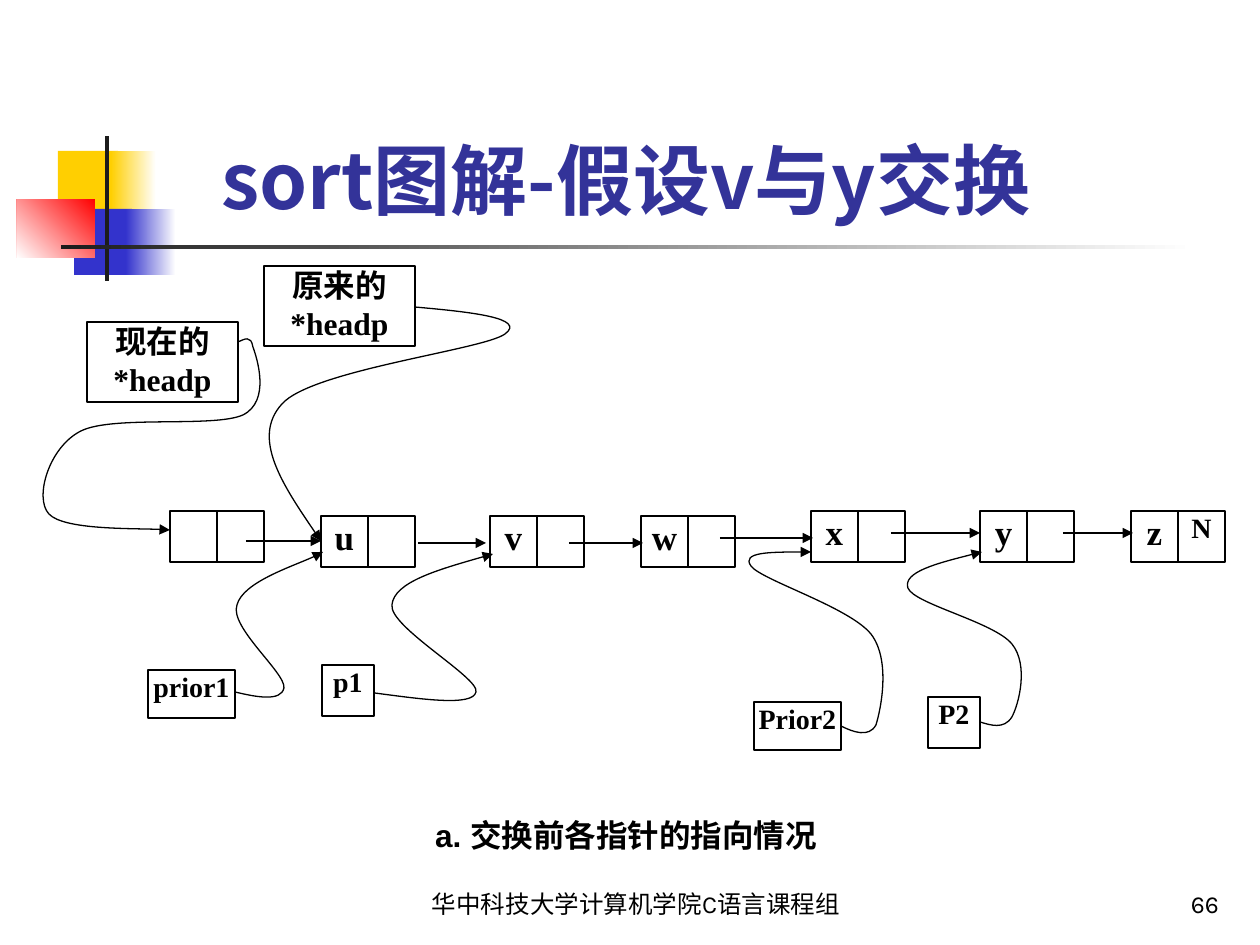
"""Build a slide showing a linked list and its pointers before two nodes are swapped."""
import dataclasses
import itertools
import typing

import lxml.etree
import pptx
import pptx.dml.color
import pptx.enum.shapes
import pptx.enum.text
import pptx.oxml.ns
import pptx.util

SCALE = 914400 / 126
COLOURS = {
    "white": "FFFFFF", "black": "000000", "title": "333399", "yellow": "FFCF01",
    "blue": "3333CC", "red": "FF0000", "dark": "1C1C1C",
}
CJK = "Noto Sans CJK SC"
SERIF = "Times New Roman"
CELL_WIDTH, CELL_HEIGHT = 47, 51
ALIGN = pptx.enum.text.PP_ALIGN
ANCHOR = pptx.enum.text.MSO_ANCHOR
RECTANGLE = pptx.enum.shapes.MSO_SHAPE.RECTANGLE
STRAIGHT = pptx.enum.shapes.MSO_CONNECTOR.STRAIGHT
qn = pptx.oxml.ns.qn


class Frame(typing.NamedTuple):
    left: int
    top: int
    width: int
    height: int


class Ornament(typing.NamedTuple):
    frame: Frame
    colour: str
    fade_angle: int | None = None


class Node(typing.NamedTuple):
    left: int
    top: int
    name: str = ""
    link: str = ""


class Label(typing.NamedTuple):
    frame: Frame
    text: str
    size: int


class Arrow(typing.NamedTuple):
    start: int
    end: int
    y: int


@dataclasses.dataclass(frozen=True)
class Style:
    size: int
    font: str = SERIF
    bold: bool = True
    colour: str = "black"
    align: typing.Any = ALIGN.CENTER
    anchor: typing.Any = ANCHOR.TOP
    insets: tuple[int, int] = (0, 0)


ORNAMENTS = [
    Ornament(Frame(58, 151, 60, 66), "yellow"),
    Ornament(Frame(111, 151, 45, 66), "yellow", 0),
    Ornament(Frame(74, 209, 58, 66), "blue"),
    Ornament(Frame(126, 209, 50, 66), "blue", 0),
    Ornament(Frame(17, 199, 78, 59), "red", 225),
    Ornament(Frame(105, 136, 4, 145), "dark"),
    Ornament(Frame(61, 245, 1134, 4), "dark", 0),
]
NODES = [
    Node(170, 511), Node(321, 516, "u"), Node(490, 516, "v"), Node(641, 516, "w"),
    Node(811, 511, "x"), Node(980, 511, "y"), Node(1131, 511, "z", "N"),
]
LABELS = [
    Label(Frame(264, 266, 151, 80), "原来的*headp", 18),
    Label(Frame(87, 322, 151, 80), "现在的*headp", 18),
    Label(Frame(148, 670, 87, 48), "prior1", 16),
    Label(Frame(322, 665, 52, 51), "p1", 16),
    Label(Frame(754, 702, 87, 48), "Prior2", 16),
    Label(Frame(928, 697, 52, 51), "P2", 16),
]
ARROWS = [
    Arrow(246, 321, 541), Arrow(418, 486, 543), Arrow(569, 643, 543),
    Arrow(720, 813, 538), Arrow(891, 980, 533), Arrow(1063, 1133, 533),
]
CURVES = [
    [(415, 307), (471, 312), (527, 318), (505, 334), (483, 350), (312, 370),
     (282, 404), (251, 438), (286, 490), (321, 541)],
    [(238, 342), (245, 339), (251, 335), (253, 347), (257, 358), (271, 401),
     (243, 415), (214, 428), (113, 415), (81, 431), (49, 447), (34, 498),
     (49, 514), (64, 530), (150, 528), (170, 530)],
    [(235, 692), (256, 697), (281, 702), (284, 688), (286, 673), (229, 627),
     (237, 605), (243, 582), (309, 561), (323, 552)],
    [(374, 693), (420, 699), (473, 707), (476, 692), (480, 678), (389, 627),
     (392, 605), (394, 582), (444, 568), (493, 554)],
    [(841, 726), (853, 732), (869, 738), (876, 725), (881, 709), (891, 660),
     (871, 634), (849, 607), (761, 580), (751, 566), (741, 552), (776, 552),
     (811, 552)],
    [(980, 722), (990, 725), (1004, 730), (1012, 717), (1019, 704), (1029, 665),
     (1012, 644), (994, 622), (914, 604), (908, 588), (903, 572), (942, 562),
     (982, 552)],
]


def px(length: int) -> int:
    return round(length * SCALE)


def rgb(name: str) -> pptx.dml.color.RGBColor:
    return pptx.dml.color.RGBColor.from_string(COLOURS[name])


def write(shape, text: str, style: Style) -> None:
    box = shape.text_frame
    box.word_wrap = True
    box.vertical_anchor = style.anchor
    box.margin_left = box.margin_right = px(style.insets[0])
    box.margin_top = box.margin_bottom = px(style.insets[1])
    para = box.paragraphs[0]
    para.text = text
    para.alignment = style.align
    font = para.font
    font.size = pptx.util.Pt(style.size)
    font.bold = style.bold
    font.color.rgb = rgb(style.colour)
    font.name = style.font
    lxml.etree.SubElement(font._element, qn("a:ea"), typeface=CJK)


def draw_ornament(page, ornament: Ornament) -> None:
    shape = page.shapes.add_shape(RECTANGLE, *map(px, ornament.frame))
    shape.shadow.inherit = False
    shape.line.fill.background()
    if ornament.fade_angle is None:
        shape.fill.solid()
        shape.fill.fore_color.rgb = rgb(ornament.colour)
        return
    shape.fill.gradient()
    shape.fill.gradient_angle = ornament.fade_angle
    for stop, colour in zip(shape.fill.gradient_stops, (ornament.colour, "white")):
        stop.color.rgb = rgb(colour)


def outline(shape, arrowhead: bool = False) -> None:
    shape.line.color.rgb = rgb("black")
    shape.line.width = pptx.util.Pt(0.75)
    if arrowhead:
        lxml.etree.SubElement(shape.line._get_or_add_ln(), qn("a:tailEnd"), type="triangle")


def draw_box(page, label: Label) -> None:
    shape = page.shapes.add_shape(RECTANGLE, *map(px, label.frame))
    shape.shadow.inherit = False
    shape.fill.solid()
    shape.fill.fore_color.rgb = rgb("white")
    outline(shape)
    if label.text:
        write(shape, label.text, Style(label.size))


def draw_node(page, node: Node) -> None:
    for column, (text, size) in enumerate([(node.name, 20), (node.link, 16)]):
        left = node.left + column * CELL_WIDTH
        draw_box(page, Label(Frame(left, node.top, CELL_WIDTH, CELL_HEIGHT), text, size))


def draw_arrow(page, arrow: Arrow) -> None:
    ends = (arrow.start, arrow.y, arrow.end, arrow.y)
    connector = page.shapes.add_connector(STRAIGHT, *map(px, ends))
    outline(connector, arrowhead=True)
    lxml.etree.SubElement(connector._element.spPr, qn("a:effectLst"))


def draw_curve(page, points: list[tuple[int, int]]) -> None:
    builder = page.shapes.build_freeform(*points[0], scale=SCALE)
    builder.add_line_segments(points[1:], close=False)
    shape = builder.convert_to_shape()
    shape.shadow.inherit = False
    shape.fill.background()
    outline(shape, arrowhead=True)
    route = next(shape._element.iter(qn("a:path")))
    segments = iter(route.findall(qn("a:lnTo")))
    while triple := list(itertools.islice(segments, 3)):
        bezier = lxml.etree.SubElement(route, qn("a:cubicBezTo"))
        for segment in triple:
            bezier.append(segment[0])
            route.remove(segment)


def draw_text(page, frame: Frame, text: str, style: Style) -> None:
    write(page.shapes.add_textbox(*map(px, frame)), text, style)


def main() -> None:
    deck = pptx.Presentation()
    deck.slide_width, deck.slide_height = px(1260), px(945)
    page = deck.slides.add_slide(deck.slide_layouts[5])
    for ornament in ORNAMENTS:
        draw_ornament(page, ornament)
    title = page.shapes.title
    title.left, title.top, title.width, title.height = map(px, Frame(44, 29, 1181, 202))
    padded = Style(44, CJK, colour="title", anchor=ANCHOR.BOTTOM, insets=(13, 6))
    write(title, "sort图解-假设v与y交换 ", padded)
    page.shapes._spTree.append(title._element)
    for draw, items in [(draw_node, NODES), (draw_box, LABELS),
                        (draw_arrow, ARROWS), (draw_curve, CURVES)]:
        for item in items:
            draw(page, item)
    caption = Style(18, "Arial", insets=(13, 6))
    draw_text(page, Frame(362, 810, 535, 51), "a. 交换前各指针的指向情况 ", caption)
    footer = Style(14, "Karla", bold=False, anchor=ANCHOR.BOTTOM, insets=(13, 6))
    draw_text(page, Frame(343, 861, 586, 63), "华中科技大学计算机学院C语言课程组", footer)
    number = dataclasses.replace(footer, align=ALIGN.RIGHT)
    draw_text(page, Frame(970, 861, 262, 63), "66", number)
    deck.save("out.pptx")


if __name__ == "__main__":
    main()
